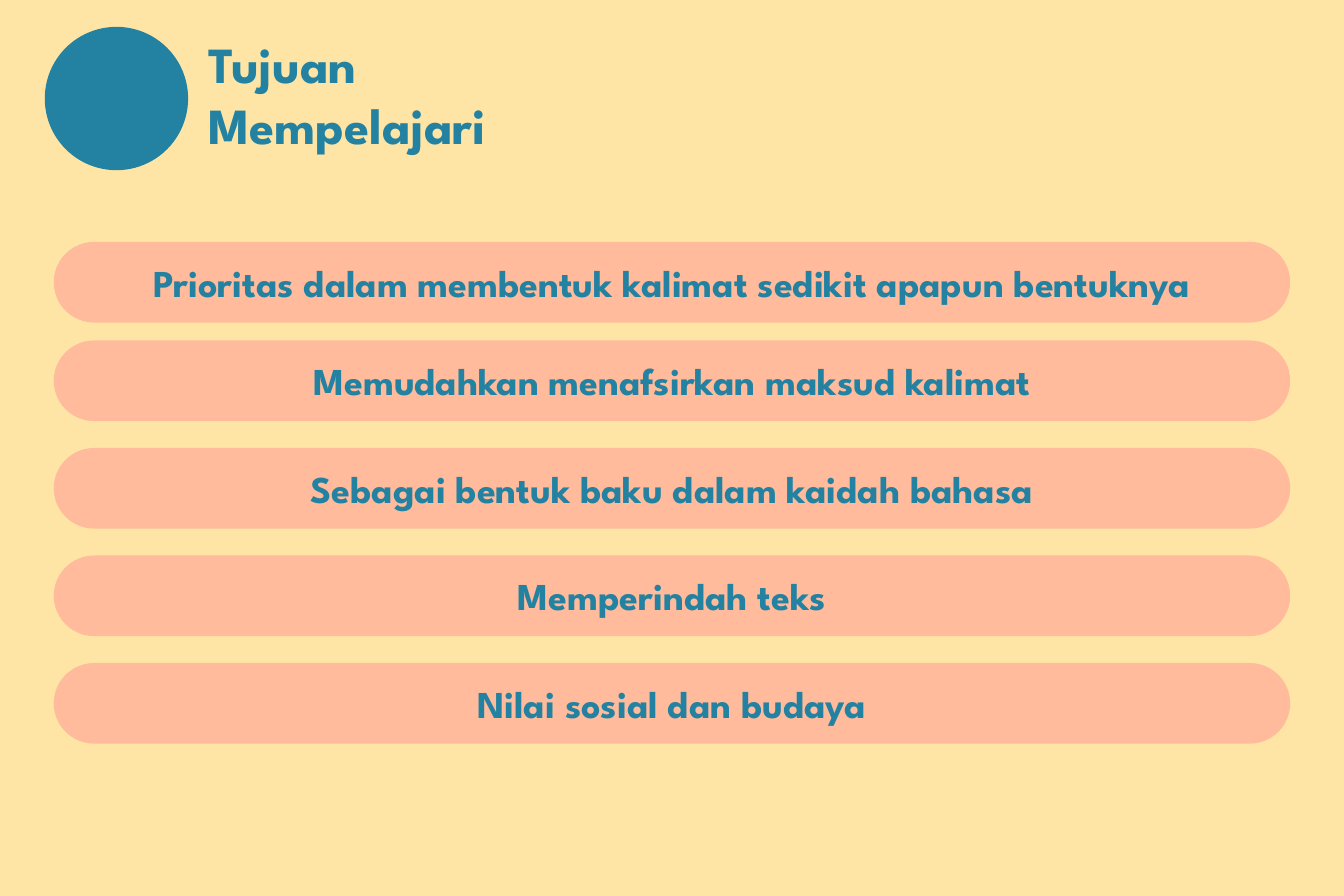
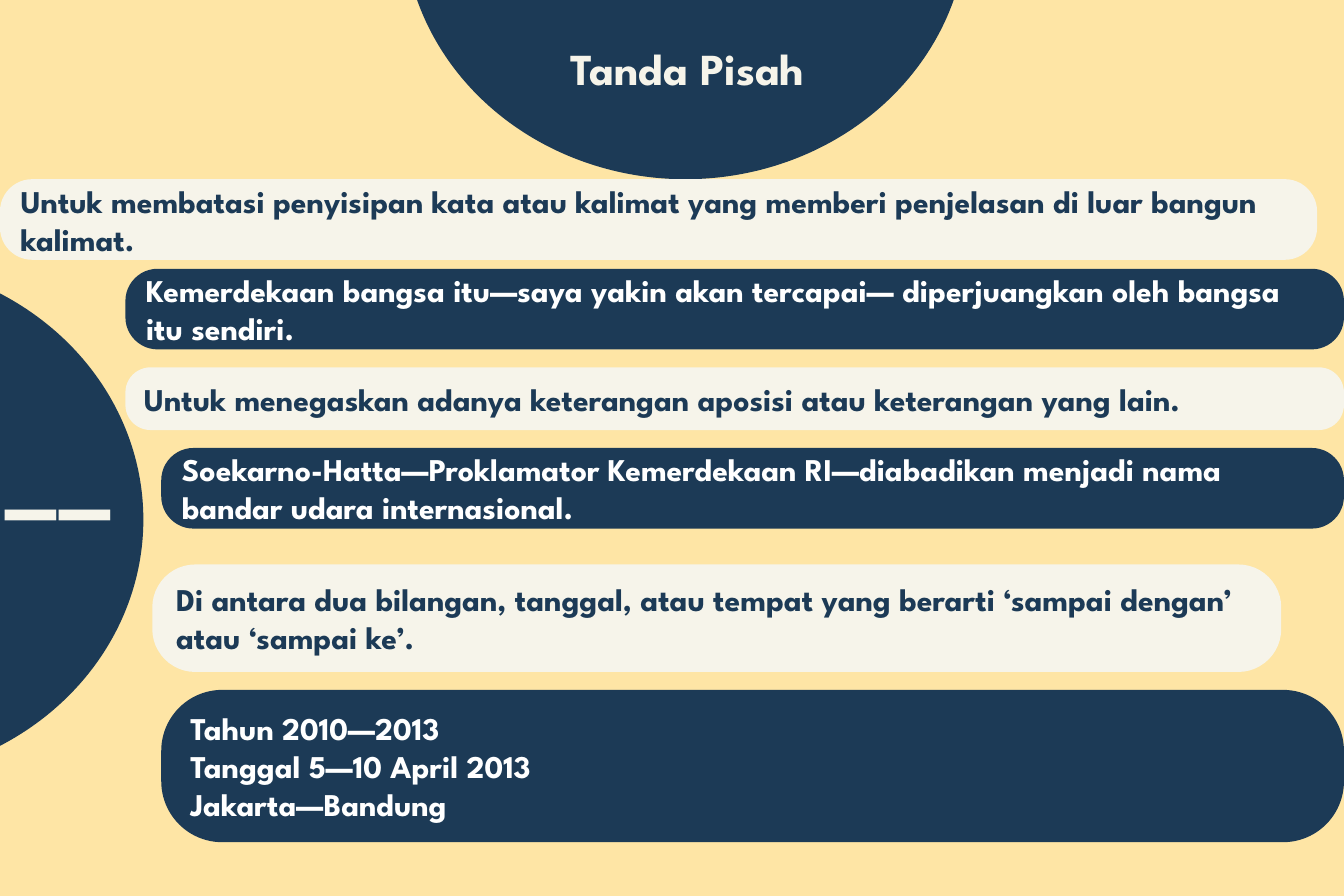
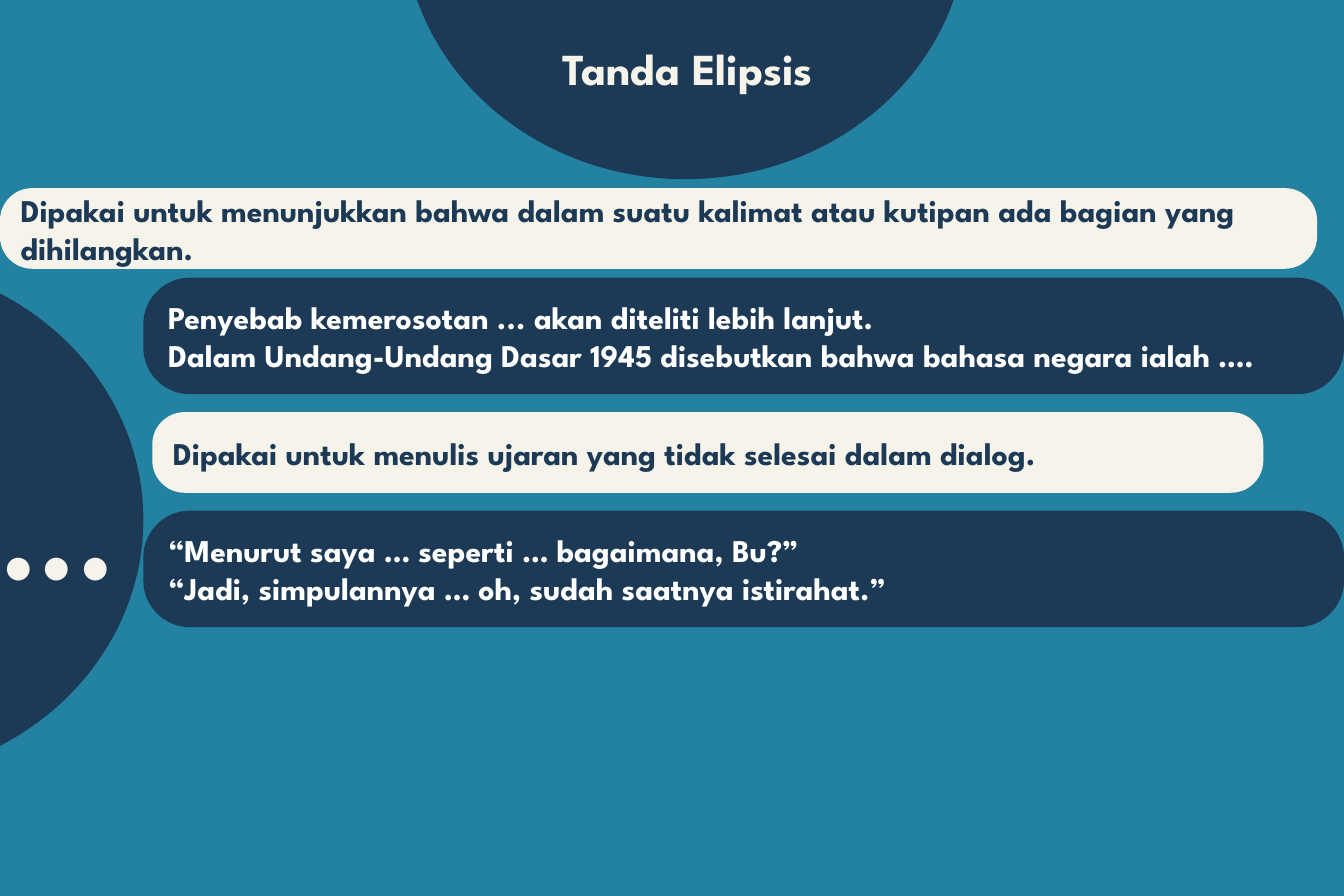
import dataclasses

import pptx
import pptx.dml.color
import pptx.enum.shapes
import pptx.enum.text
import pptx.util

Cm = pptx.util.Cm
MSO = pptx.enum.shapes.MSO_SHAPE
ANCHOR = pptx.enum.text.MSO_ANCHOR
ALIGN = pptx.enum.text.PP_ALIGN
rgb = pptx.dml.color.RGBColor.from_string


@dataclasses.dataclass(frozen=True)
class Theme:
    """Colours, font and type sizes of the deck."""
    sand: str = "FEE5A5"
    teal: str = "2382A1"
    peach: str = "FFBB9B"
    navy: str = "1C3A56"
    cream: str = "F6F4EA"
    white: str = "FFFFFF"
    font: str = "League Spartan"
    title: int = 32
    heading: int = 28
    goal: int = 24
    body: int = 20
    symbol: int = 80


theme = Theme()


def write(sp, text, size, color, align=ALIGN.LEFT, anchor=ANCHOR.MIDDLE):
    """Fill a shape or text box with bold text in the deck font."""
    tf = sp.text_frame
    tf.text = text
    for name, value in {"word_wrap": True, "vertical_anchor": anchor}.items():
        setattr(tf, name, value)
    font_format = {"name": theme.font, "size": pptx.util.Pt(size), "bold": True}
    for p in tf.paragraphs:
        p.alignment = align
        for r in p.runs:
            for name, value in font_format.items():
                setattr(r.font, name, value)
            r.font.color.rgb = rgb(color)


def add_shape(s, kind, box, fill, corner=None):
    """Add a flat shape without outline; box is left, top, width, height in cm."""
    sp = s.shapes.add_shape(kind, *map(Cm, box))
    sp.shadow.inherit = False
    sp.fill.solid()
    sp.fill.fore_color.rgb = rgb(fill)
    sp.line.fill.background()
    if corner is not None:
        sp.adjustments[0] = corner
    return sp


prs = pptx.Presentation()
prs.slide_width, prs.slide_height = Cm(30), Cm(20)
blank = prs.slide_layouts[6]

# Learning goals
s = prs.slides.add_slide(blank)
s.background.fill.solid()
s.background.fill.fore_color.rgb = rgb(theme.sand)
title = s.shapes.add_textbox(Cm(4.4), Cm(0), Cm(7.6), Cm(4.2))
write(title, "Tujuan\vMempelajari", theme.title, theme.teal)
add_shape(s, MSO.OVAL, (1, 0.6, 3.2, 3.2), theme.teal)

goals = [
    (5.4, "Prioritas dalam membentuk kalimat sedikit apapun bentuknya"),
    (7.6, "Memudahkan menafsirkan maksud kalimat"),
    (10, "Sebagai bentuk baku dalam kaidah bahasa"),
    (12.4, "Memperindah teks"),
    (14.8, "Nilai sosial dan budaya"),
]
for top, goal in goals:
    bar = add_shape(s, MSO.ROUNDED_RECTANGLE, (1.2, top, 27.6, 1.8), theme.peach, 0.5)
    write(bar, goal, theme.goal, theme.teal, ALIGN.CENTER)

# Punctuation marks: rules (cream) alternate with examples (navy)
marks = [
    ("Tanda Pisah", theme.sand, "__", 8.4, [
        ((0, 4, 29.4, 1.8),
         "Untuk membatasi penyisipan kata atau kalimat yang memberi "
         "penjelasan di luar bangun kalimat."),
        ((2.8, 6, 27.2, 1.8),
         "Kemerdekaan bangsa itu—saya yakin akan tercapai— "
         "diperjuangkan oleh bangsa itu sendiri."),
        ((2.8, 8.2, 27.2, 1.4),
         "Untuk menegaskan adanya keterangan aposisi atau keterangan yang lain."),
        ((3.6, 10, 26.4, 1.8),
         "Soekarno-Hatta—Proklamator Kemerdekaan RI—diabadikan "
         "menjadi nama bandar udara internasional."),
        ((3.4, 12.6, 25.2, 2.4),
         "Di antara dua bilangan, tanggal, atau tempat yang berarti "
         "‘sampai dengan’ atau ‘sampai ke’."),
        ((3.6, 15.4, 26.4, 3.4),
         "Tahun 2010—2013\nTanggal 5—10 April 2013\nJakarta—Bandung"),
    ]),
    ("Tanda Elipsis", theme.teal, "...", 10, [
        ((0, 4.2, 29.4, 1.8),
         "Dipakai untuk menunjukkan bahwa dalam suatu kalimat atau "
         "kutipan ada bagian yang dihilangkan."),
        ((3.2, 6.2, 26.8, 2.6),
         "Penyebab kemerosotan ... akan diteliti lebih lanjut.\n"
         "Dalam Undang-Undang Dasar 1945 disebutkan bahwa bahasa negara ialah …."),
        ((3.4, 9.2, 24.8, 1.8),
         "Dipakai untuk menulis ujaran yang tidak selesai dalam dialog."),
        ((3.2, 11.4, 26.8, 2.6),
         "“Menurut saya … seperti … bagaimana, Bu?”\n"
         "“Jadi, simpulannya … oh, sudah saatnya istirahat.”"),
    ]),
]
bar_styles = [(theme.cream, theme.navy), (theme.navy, theme.white)]

for name, background, symbol, symbol_top, bars in marks:
    s = prs.slides.add_slide(blank)
    s.background.fill.solid()
    s.background.fill.fore_color.rgb = rgb(background)

    add_shape(s, MSO.OVAL, (9, -7.6, 12.6, 11.6), theme.navy)
    heading = s.shapes.add_textbox(Cm(10.45), Cm(0.8), Cm(9.8), Cm(1.45))
    write(heading, name, theme.heading, theme.cream, ALIGN.CENTER, ANCHOR.TOP)

    add_shape(s, MSO.OVAL, (-9.4, 5.8, 12.6, 11.6), theme.navy)
    mark = s.shapes.add_textbox(Cm(-3.6), Cm(symbol_top), Cm(9.8), Cm(3.7))
    write(mark, symbol, theme.symbol, theme.cream, ALIGN.CENTER, ANCHOR.TOP)

    for i, (box, text) in enumerate(bars):
        fill, color = bar_styles[i % 2]
        bar = add_shape(s, MSO.ROUNDED_RECTANGLE, box, fill, 0.4)
        write(bar, text, theme.body, color)

prs.save("out.pptx")
